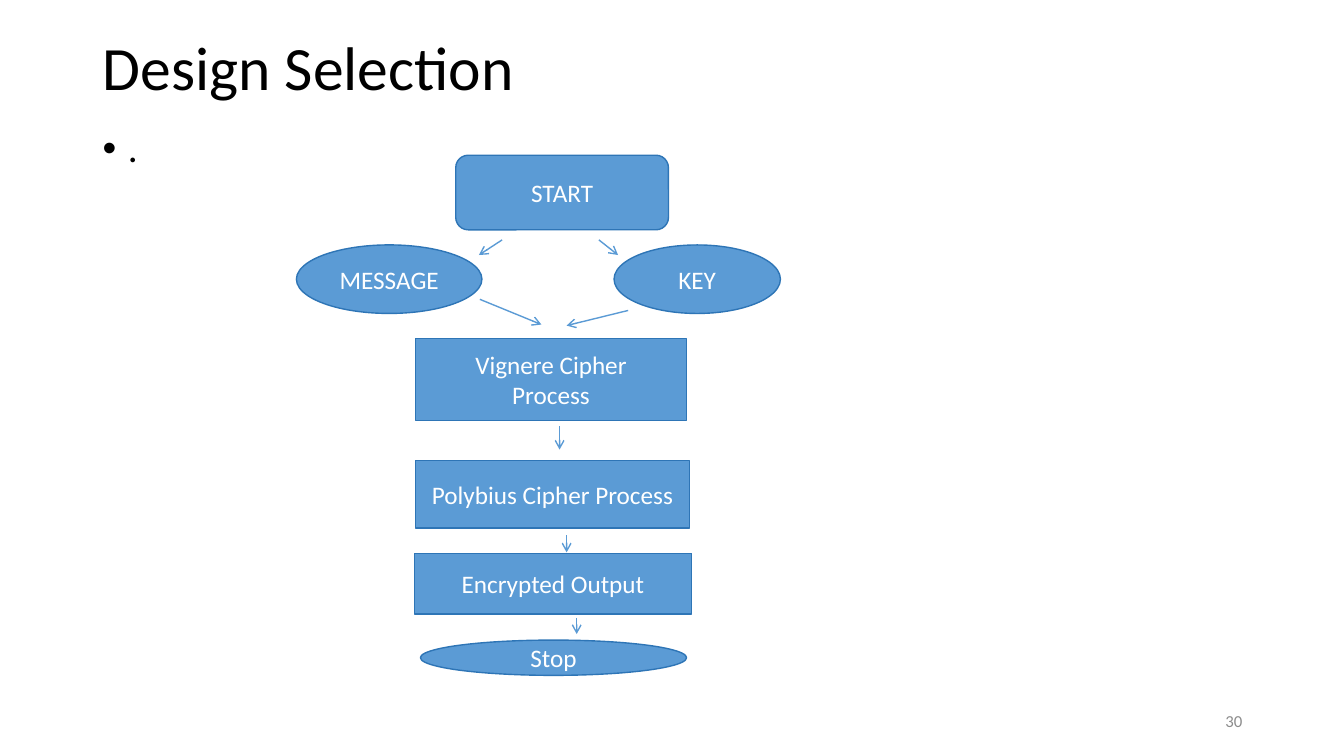
import pptx
import pptx.dml.color
import pptx.enum.shapes
import pptx.enum.text
import pptx.oxml
import pptx.oxml.ns
import pptx.util

Inches = pptx.util.Inches
Pt = pptx.util.Pt
RGBColor = pptx.dml.color.RGBColor
Shape = pptx.enum.shapes.MSO_SHAPE
Align = pptx.enum.text.PP_ALIGN
Anchor = pptx.enum.text.MSO_ANCHOR

FONT = "Calibri"
BLACK = RGBColor(0x00, 0x00, 0x00)
WHITE = RGBColor(0xFF, 0xFF, 0xFF)
GREY = RGBColor(0x8C, 0x8C, 0x8C)
BLUE = RGBColor(0x5B, 0x9B, 0xD5)
DARK_BLUE = RGBColor(0x2E, 0x75, 0xB6)

# Flowchart steps: preset, text, (left, top, width, height)
STEPS = [
    (Shape.FLOWCHART_ALTERNATE_PROCESS, "START", (4.52, 1.54, 2.11, 0.74)),
    (Shape.OVAL, "MESSAGE", (2.94, 2.43, 1.84, 0.68)),
    (Shape.OVAL, "KEY", (6.09, 2.43, 1.65, 0.68)),
    (Shape.FLOWCHART_PROCESS, "Vignere Cipher\nProcess", (4.12, 3.36, 2.69, 0.81)),
    (Shape.FLOWCHART_PROCESS, "Polybius Cipher Process", (4.12, 4.57, 2.72, 0.67)),
    (Shape.OVAL, "Stop", (4.17, 6.35, 2.64, 0.35)),
    (Shape.FLOWCHART_PROCESS, "Encrypted Output", (4.11, 5.49, 2.75, 0.6)),
]

# Arrows: start point, end point
ARROWS = [
    ((4.98, 2.38), (4.75, 2.53)),
    ((5.94, 2.38), (6.13, 2.53)),
    ((5.55, 4.23), (5.55, 4.46)),
    ((5.62, 5.31), (5.62, 5.48)),
    ((5.72, 6.13), (5.72, 6.29)),
    ((4.76, 2.97), (5.37, 3.22)),
    ((6.23, 3.08), (5.62, 3.23)),
]


def add_xml(parent, tag, **attributes):
    child = pptx.oxml.parse_xml(f"<a:{tag} {pptx.oxml.ns.nsdecls('a')}/>")
    for name, value in attributes.items():
        child.set(name, value)
    parent.append(child)


def write_text(box, text, size=18, color=BLACK, align=Align.LEFT,
               anchor=Anchor.MIDDLE, line_spacing=1.0, space_before=0):
    frame = box.text_frame
    frame.text = text
    frame.word_wrap = True
    frame.auto_size = pptx.enum.text.MSO_AUTO_SIZE.NONE
    frame.vertical_anchor = anchor
    for para in frame.paragraphs:
        para.alignment = align
        para.line_spacing = line_spacing
        para.space_before = Pt(space_before)
        for span in para.runs:
            span.font.name = FONT
            span.font.size = Pt(size)
            span.font.color.rgb = color


def add_title(page, text, left, top, width, height):
    title = page.shapes.title
    title.left, title.top = Inches(left), Inches(top)
    title.width, title.height = Inches(width), Inches(height)
    write_text(title, text, size=44, line_spacing=0.9)


def add_text_box(page, text, left, top, width, height, **text_format):
    box = page.shapes.add_textbox(
        Inches(left), Inches(top), Inches(width), Inches(height))
    write_text(box, text, **text_format)
    return box


def add_bullets(box, indent):
    for para in box.text_frame.paragraphs:
        properties = para._p.get_or_add_pPr()
        properties.set("marL", str(Inches(indent)))
        properties.set("indent", str(-Inches(indent)))
        add_xml(properties, "buFont", typeface="Arial")
        add_xml(properties, "buChar", char="•")


def add_step(page, preset, text, bounds):
    step = page.shapes.add_shape(preset, *map(Inches, bounds))
    step.shadow.inherit = False
    step.fill.solid()
    step.fill.fore_color.rgb = BLUE
    step.line.color.rgb = DARK_BLUE
    step.line.width = Pt(1)
    write_text(step, text, color=WHITE, align=Align.CENTER)


def add_arrow(page, start, end):
    arrow = page.shapes.add_connector(
        pptx.enum.shapes.MSO_CONNECTOR.STRAIGHT, *map(Inches, start + end))
    arrow.line.color.rgb = BLUE
    arrow.line.width = Pt(1)
    add_xml(arrow.line._get_or_add_ln(), "tailEnd", type="arrow")
    add_xml(arrow._element.spPr, "effectLst")


def main():
    deck = pptx.Presentation()
    deck.slide_width, deck.slide_height = Inches(13.33), Inches(7.5)
    page = deck.slides.add_slide(deck.slide_layouts.get_by_name("Title Only"))

    # Title, body and page number
    add_title(page, "Design Selection", 0.92, 0.18, 11.5, 1.05)
    body = add_text_box(page, ".", 0.92, 1.23, 11.5, 5.52, size=28,
                        anchor=Anchor.TOP, line_spacing=0.9, space_before=10)
    add_bullets(body, 0.25)
    add_text_box(page, "30", 9.42, 6.95, 3, 0.4, size=12, color=GREY,
                 align=Align.RIGHT)

    # Flowchart
    for preset, text, bounds in STEPS:
        add_step(page, preset, text, bounds)
    for start, end in ARROWS:
        add_arrow(page, start, end)

    deck.save("out.pptx")


main()
